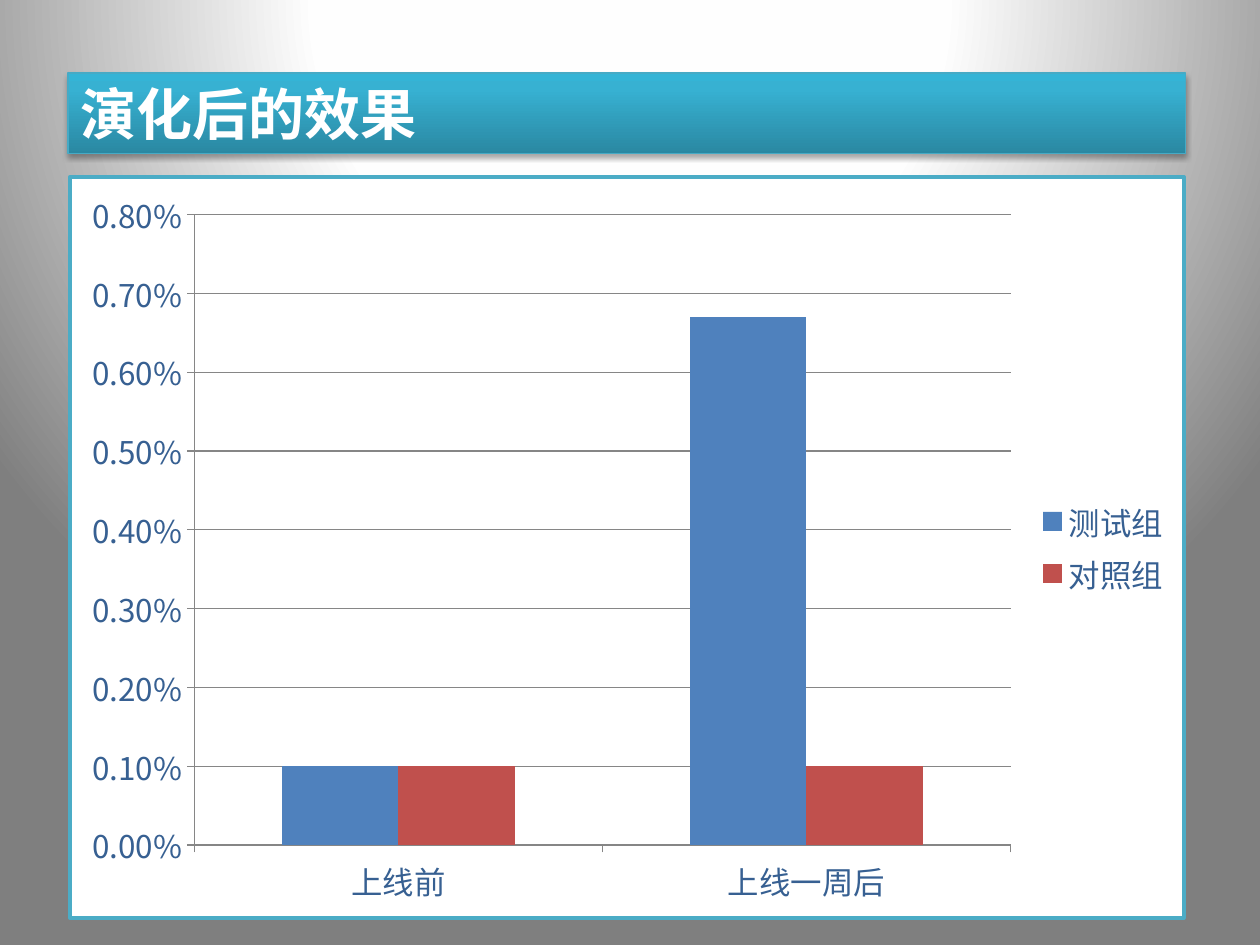
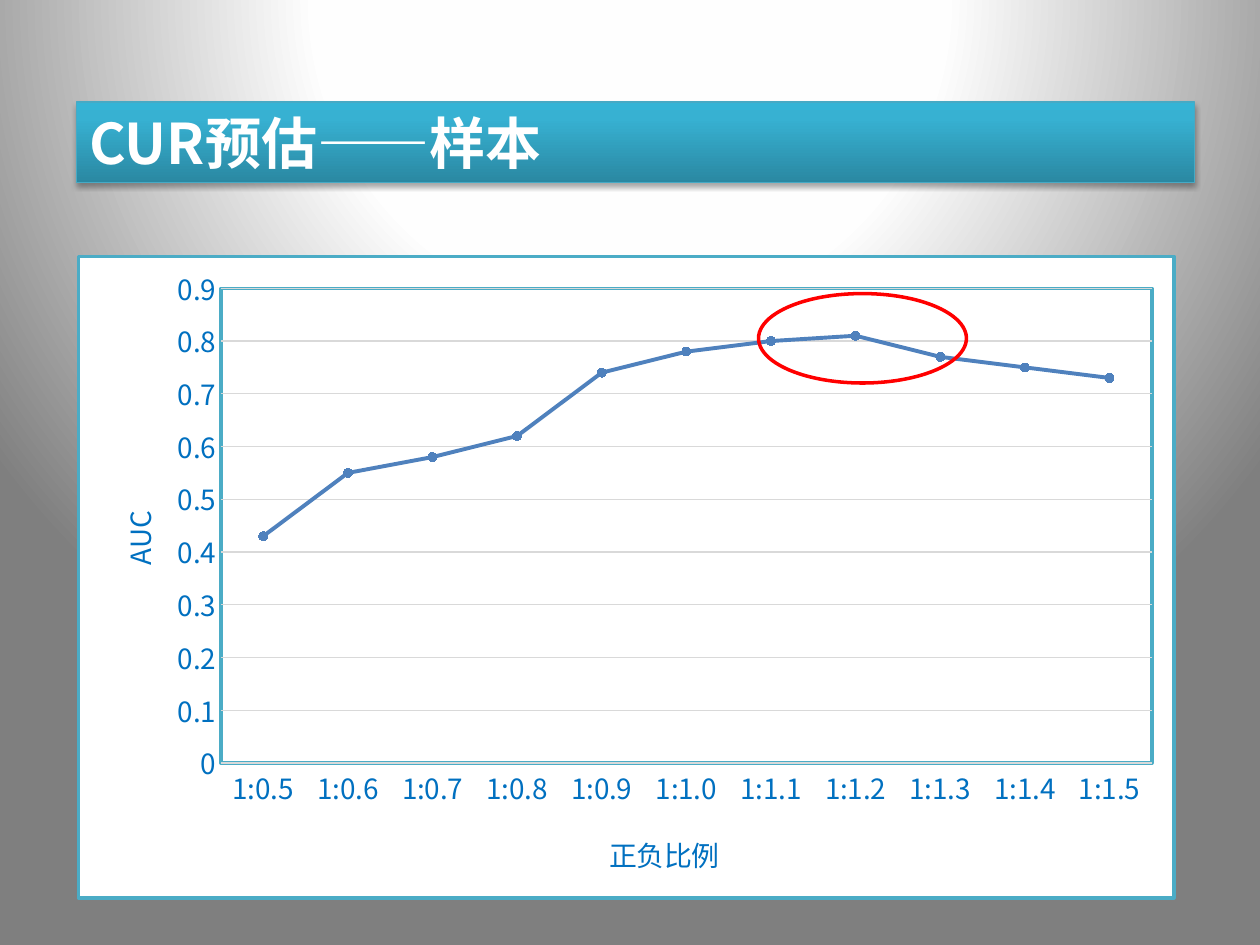
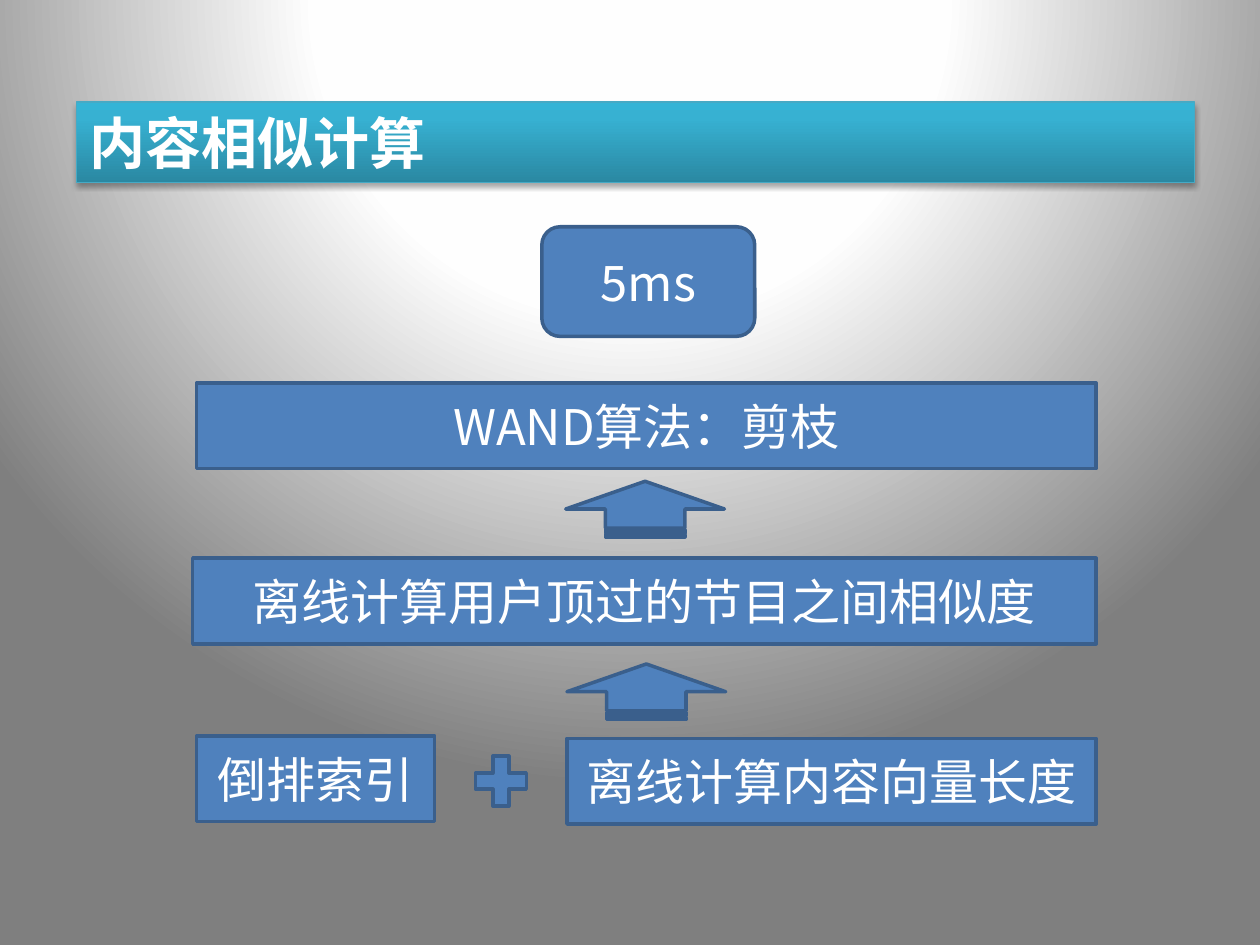
from dataclasses import dataclass

from lxml.etree import SubElement
from pptx import Presentation
from pptx.chart.data import CategoryChartData
from pptx.dml.color import RGBColor
from pptx.enum.chart import XL_CHART_TYPE as ChartType
from pptx.enum.chart import XL_LEGEND_POSITION as LegendPosition
from pptx.enum.chart import XL_MARKER_STYLE as Marker
from pptx.enum.chart import XL_TICK_MARK as Tick
from pptx.enum.shapes import MSO_SHAPE as Preset
from pptx.enum.text import MSO_ANCHOR as Anchor
from pptx.enum.text import MSO_AUTO_SIZE as AutoSize
from pptx.enum.text import PP_ALIGN as Align
from pptx.oxml import parse_xml
from pptx.oxml.ns import nsdecls, qn
from pptx.util import Inches, Pt


@dataclass(frozen=True)
class Theme:
    font: str = "Noto Sans CJK SC"
    white: str = "FFFFFF"
    blue: str = "4F81BD"
    blue_edge: str = "3A5F8C"
    red: str = "C0504D"
    highlight: str = "FF0000"
    teal: str = "4BACC6"
    banner_edge: str = "46AAC5"
    effect_text: str = "376092"
    sample_text: str = "0070C0"
    axis: str = "868686"
    pale_grid: str = "D9D9D9"
    backdrop: tuple = ((0, "FFFFFF"), (40, "FEFEFE"), (100, "7F7F7F"))
    banner: tuple = ((0, "2A88A2"), (80, "37B1D2"), (100, "34B4D6"))
    title_size: int = 32
    step_size: int = 28
    effect_size: int = 18
    sample_size: int = 16
    edge: float = 2


THEME = Theme()

EFFECT = {
    "title": "演化后的效果",
    "stages": ["上线前", "上线一周后"],
    "groups": [
        ("测试组", [0.001, 0.0067], THEME.blue),
        ("对照组", [0.001, 0.001], THEME.red),
    ],
}
SAMPLE = {
    "title": "CUR预估——样本",
    "ratios": [f"1:{tenths / 10:.1f}" for tenths in range(5, 16)],
    "auc": [0.43, 0.55, 0.58, 0.62, 0.74, 0.78, 0.8, 0.81, 0.77, 0.75, 0.73],
    "ratio_label": "正负比例",
    "auc_label": "AUC",
}
SIMILARITY = {
    "title": "内容相似计算",
    "steps": [
        ("倒排索引", Preset.RECTANGLE, (1.56, 5.84, 1.89, 0.68)),
        ("离线计算内容向量长度", Preset.RECTANGLE, (4.5, 5.86, 4.2, 0.68)),
        ("离线计算用户顶过的节目之间相似度", Preset.RECTANGLE, (1.53, 4.43, 7.17, 0.68)),
        ("WAND算法：剪枝", Preset.RECTANGLE, (1.56, 3.04, 7.14, 0.68)),
        ("5ms", Preset.ROUNDED_RECTANGLE, (4.3, 1.8, 1.69, 0.87)),
    ],
    "plus": (3.7, 5.93, 0.55, 0.54),
    "arrows": [(4.91, 4.86, 0.44, 1.26), (4.9, 3.41, 0.44, 1.26)],
}

RADIAL = ('<a:path path="circle"><a:fillToRect l="50000" t="-80000" '
          'r="50000" b="180000"/></a:path>')
UPWARD = '<a:lin ang="16200000" scaled="0"/>'


def rgb(color):
    return RGBColor.from_string(color)


def inches(box):
    return [Inches(length) for length in box]


def style_font(font, size, color, bold=False):
    font.size, font.bold, font.name = Pt(size), bold, THEME.font
    font.color.rgb = rgb(color)


def use_east_asian(root):
    for latin in list(root.iter(qn("a:latin"))):
        if latin.getnext() is None:
            SubElement(latin.getparent(), qn("a:ea")).set("typeface", THEME.font)


def write(frame, text, *, size, color, bold=False, align=None):
    paragraph = frame.paragraphs[0]
    if align is not None:
        paragraph.alignment = align
    run = paragraph.add_run()
    run.text = text
    style_font(run.font, size, color, bold)
    use_east_asian(paragraph._p)


def paint_gradient(fill, owner, stops, direction):
    fill.gradient()
    placeholder = next(owner.iter(qn("a:gradFill")))
    marks = "".join(
        f'<a:gs pos="{place * 1000}"><a:srgbClr val="{color}"/></a:gs>'
        for place, color in stops)
    placeholder.getparent().replace(placeholder, parse_xml(
        f'<a:gradFill {nsdecls("a")} rotWithShape="1">'
        f'<a:gsLst>{marks}</a:gsLst>{direction}</a:gradFill>'))


def add_block(slide, preset, box, *, fill=THEME.blue, edge=THEME.blue_edge,
              width=THEME.edge):
    block = slide.shapes.add_shape(preset, *inches(box))
    block.shadow.inherit = False
    if fill:
        block.fill.solid()
        block.fill.fore_color.rgb = rgb(fill)
    else:
        block.fill.background()
    block.line.color.rgb = rgb(edge)
    block.line.width = Pt(width)
    return block


def start_slide(deck):
    slide = deck.slides.add_slide(deck.slide_layouts[6])
    paint_gradient(slide.background.fill, slide.element, THEME.backdrop, RADIAL)
    return slide


def add_banner(slide, title, left=0.61, top=0.81):
    banner = add_block(slide, Preset.RECTANGLE, (left, top, 8.87, 0.64),
                       edge=THEME.banner_edge, width=0.75)
    paint_gradient(banner.fill, banner.element, THEME.banner, UPWARD)
    next(banner.element.iter(qn("a:effectLst"))).append(parse_xml(
        f'<a:outerShdw {nsdecls("a")} blurRad="{Pt(3.1)}" dist="{Pt(1.8)}" '
        'dir="5400000" rotWithShape="0"><a:srgbClr val="000000">'
        '<a:alpha val="35000"/></a:srgbClr></a:outerShdw>'))
    frame = banner.text_frame
    frame.word_wrap = True
    frame.auto_size = AutoSize.SHAPE_TO_FIT_TEXT
    frame.vertical_anchor = Anchor.TOP
    write(frame, title, size=THEME.title_size, color=THEME.white, bold=True,
          align=Align.LEFT)


def panel_format():
    return parse_xml(
        f'<c:spPr {nsdecls("c", "a")}><a:solidFill><a:srgbClr val="{THEME.white}"/>'
        f'</a:solidFill><a:ln w="{Pt(THEME.edge)}"><a:solidFill>'
        f'<a:srgbClr val="{THEME.teal}"/></a:solidFill></a:ln></c:spPr>')


def place_part(part, **fractions):
    old = part.find(qn("c:layout"))
    if old is not None:
        part.remove(old)
    target = '<c:layoutTarget val="inner"/>' if "w" in fractions else ""
    modes = "".join(f'<c:{axis}Mode val="edge"/>' for axis in "xy")
    values = "".join(f'<c:{key} val="{value}"/>' for key, value in fractions.items())
    part.insert(1 if part.find(qn("c:tx")) is not None else 0, parse_xml(
        f'<c:layout {nsdecls("c")}><c:manualLayout>{target}{modes}{values}'
        '</c:manualLayout></c:layout>'))


def add_panel_chart(slide, kind, box, categories, series, size, color):
    data = CategoryChartData()
    data.categories = categories
    for name, values in series:
        data.add_series(name, values)
    chart = slide.shapes.add_chart(kind, *inches(box), data).chart
    chart.has_title = False
    style_font(chart.font, size, color)
    chart.plots[0].vary_by_categories = False
    root = chart.element
    root.find(qn("c:chart")).addnext(panel_format())
    return chart


def style_axis(axis, *, tick, line, size, color):
    axis.major_tick_mark, axis.minor_tick_mark = tick, Tick.NONE
    style_font(axis.tick_labels.font, size, color)
    if line:
        axis.format.line.color.rgb = rgb(line)
        axis.format.line.width = Pt(0.75)
    else:
        axis.format.line.fill.background()


def style_value_axis(axis, top, step, grid, number_format):
    axis.minimum_scale, axis.maximum_scale, axis.major_unit = 0, top, step
    axis.has_major_gridlines = True
    axis.major_gridlines.format.line.color.rgb = rgb(grid)
    axis.major_gridlines.format.line.width = Pt(0.75)
    axis.tick_labels.number_format = number_format
    axis.tick_labels.number_format_is_linked = False


def build_effect(deck):
    slide = start_slide(deck)
    groups = EFFECT["groups"]
    look = {"size": THEME.effect_size, "color": THEME.effect_text}
    chart = add_panel_chart(
        slide, ChartType.COLUMN_CLUSTERED, (0.54, 1.39, 8.87, 5.91),
        EFFECT["stages"], [group[:2] for group in groups], **look)
    chart.plots[0].gap_width = 150
    for bars, (_, _, color) in zip(chart.plots[0].series, groups):
        bars.format.fill.solid()
        bars.format.fill.fore_color.rgb = rgb(color)
    for axis in (chart.category_axis, chart.value_axis):
        style_axis(axis, tick=Tick.OUTSIDE, line=THEME.axis, **look)
    style_value_axis(chart.value_axis, 0.008, 0.001, THEME.axis, "0.00%")
    chart.has_legend = True
    chart.legend.position = LegendPosition.RIGHT
    chart.legend.include_in_layout = False
    style_font(chart.legend.font, **look)
    use_east_asian(chart.element)
    add_banner(slide, EFFECT["title"], left=0.54, top=0.58)


def build_sample(deck):
    slide = start_slide(deck)
    add_banner(slide, SAMPLE["title"])
    look = {"size": THEME.sample_size, "color": THEME.sample_text}
    chart = add_panel_chart(
        slide, ChartType.LINE_MARKERS, (0.61, 2.02, 8.72, 5.12),
        SAMPLE["ratios"], [("Series 1", SAMPLE["auc"])], **look)
    chart.has_legend = False
    curve = chart.plots[0].series[0]
    curve.smooth = False
    curve.format.line.color.rgb = rgb(THEME.blue)
    curve.format.line.width = Pt(2.25)
    curve.marker.style, curve.marker.size = Marker.CIRCLE, 5
    curve.marker.format.fill.solid()
    curve.marker.format.fill.fore_color.rgb = rgb(THEME.blue)
    curve.marker.format.line.color.rgb = rgb(THEME.blue)
    for axis, line, label, x, y in (
            (chart.category_axis, THEME.pale_grid, SAMPLE["ratio_label"], 0.48, 0.89),
            (chart.value_axis, None, SAMPLE["auc_label"], 0.03, 0.39)):
        style_axis(axis, tick=Tick.NONE, line=line, **look)
        write(axis.axis_title.text_frame, label, **look)
        place_part(axis.axis_title.element, x=x, y=y)
    turned = next(chart.value_axis.axis_title.element.iter(qn("a:bodyPr")))
    turned.set("rot", "-5400000")
    turned.set("vert", "horz")
    style_value_axis(chart.value_axis, 0.9, 0.1, THEME.pale_grid, "General")
    plot_area = next(chart.element.iter(qn("c:plotArea")))
    place_part(plot_area, x=0.13, y=0.05, w=0.85, h=0.74)
    plot_area.append(panel_format())
    use_east_asian(chart.element)
    add_block(slide, Preset.OVAL, (6.02, 2.33, 1.65, 0.71), fill=None,
              edge=THEME.highlight)


def build_similarity(deck):
    slide = start_slide(deck)
    add_banner(slide, SIMILARITY["title"])
    for text, preset, box in SIMILARITY["steps"]:
        frame = add_block(slide, preset, box).text_frame
        frame.word_wrap = True
        frame.vertical_anchor = Anchor.MIDDLE
        write(frame, text, size=THEME.step_size, color=THEME.white,
              align=Align.CENTER)
    add_block(slide, Preset.MATH_PLUS, SIMILARITY["plus"])
    for box in SIMILARITY["arrows"]:
        add_block(slide, Preset.STRIPED_RIGHT_ARROW, box).rotation = 270


def main():
    deck = Presentation()
    deck.slide_width, deck.slide_height = Inches(10), Inches(7.5)
    for build in (build_effect, build_sample, build_similarity):
        build(deck)
    deck.save("out.pptx")


if __name__ == "__main__":
    main()
